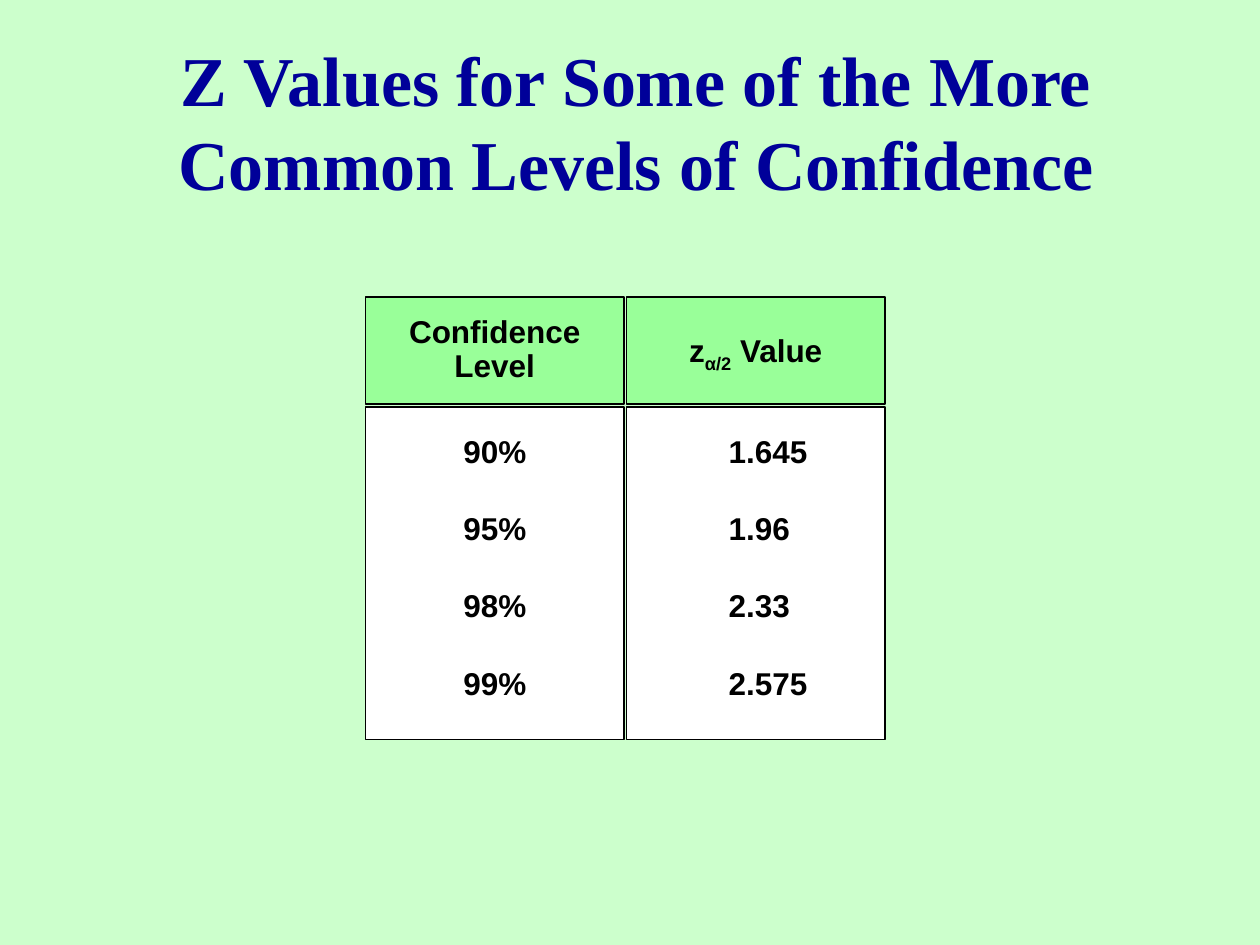
from dataclasses import dataclass

from lxml import etree
from pptx import Presentation
from pptx.dml.color import RGBColor
from pptx.enum.shapes import MSO_SHAPE
from pptx.enum.text import MSO_ANCHOR, MSO_AUTO_SIZE, PP_ALIGN
from pptx.oxml.ns import qn
from pptx.util import Cm, Pt

RECT = MSO_SHAPE.RECTANGLE
TOP, MIDDLE = MSO_ANCHOR.TOP, MSO_ANCHOR.MIDDLE
LEFT, CENTER = PP_ALIGN.LEFT, PP_ALIGN.CENTER
NO_FIT = MSO_AUTO_SIZE.NONE


@dataclass(frozen=True)
class Theme:
    background: RGBColor = RGBColor(0xCC, 0xFF, 0xCC)
    title: RGBColor = RGBColor(0x00, 0x00, 0x99)
    header: RGBColor = RGBColor(0x99, 0xFF, 0x99)
    body: RGBColor = RGBColor(0xFF, 0xFF, 0xFF)
    ink: RGBColor = RGBColor(0x00, 0x00, 0x00)
    title_font: str = "Times New Roman"
    cell_font: str = "Arial"
    title_size: Pt = Pt(40)
    cell_size: Pt = Pt(18)
    row_gap: Pt = Pt(22.5)
    line: Pt = Pt(1)


theme = Theme()


def add_run(p, text, font, size, color):
    r = p.add_run()
    r.text = text
    r.font.name = font
    r.font.size = size
    r.font.bold = True
    r.font.color.rgb = color
    return r


def add_cell(slide, x, y, w, h, fill, anchor, inset_x, inset_y):
    sp = slide.shapes.add_shape(RECT, Cm(x), Cm(y), Cm(w), Cm(h))
    sp.shadow.inherit = False
    sp.fill.solid()
    sp.fill.fore_color.rgb = fill
    sp.line.color.rgb = theme.ink
    sp.line.width = theme.line
    tf = sp.text_frame
    tf.word_wrap = True
    tf.vertical_anchor = anchor
    tf.margin_left = tf.margin_right = Cm(inset_x)
    tf.margin_top = tf.margin_bottom = Cm(inset_y)
    return tf


prs = Presentation()
prs.slide_width, prs.slide_height = Cm(25.4), Cm(19.05)
slide = prs.slides.add_slide(prs.slide_layouts[5])
slide.background.fill.solid()
slide.background.fill.fore_color.rgb = theme.background

title = slide.shapes.title
title.left, title.top, title.width, title.height = Cm(1.07), Cm(0.84), Cm(23.5), Cm(3.18)
tf = title.text_frame
tf.word_wrap = True
tf.auto_size = NO_FIT
tf.vertical_anchor = MIDDLE
p = tf.paragraphs[0]
p.alignment = CENTER
add_run(p, "Z Values for Some of the More Common Levels of Confidence",
        theme.title_font, theme.title_size, theme.title)

left, col_w, col_step = 7.37, 5.21, 5.26
header_y, header_h = 5.99, 2.16
body_y, body_h = 8.2, 6.71
columns = [
    ([("Confidence Level", 0)], ["90%", "95%", "98%", "99%"], False),
    ([("z", 0), ("α/2", -25000), (" Value", 0)],
     ["1.645", "1.96", "2.33", "2.575"], True),
]

for i, (heading, values, decimal) in enumerate(columns):
    x = left + i * col_step

    tf = add_cell(slide, x, body_y, col_w, body_h, theme.body, TOP, 0.51, 0.51)
    for j, value in enumerate(values):
        p = tf.add_paragraph() if j else tf.paragraphs[0]
        p.alignment = LEFT if decimal else CENTER
        if decimal:
            tabs = etree.SubElement(p._p.get_or_add_pPr(), qn("a:tabLst"))
            etree.SubElement(tabs, qn("a:tab"), pos=str(Cm(1.9)), algn="dec")
        if j:
            p.space_before = theme.row_gap
        add_run(p, "\t" + value if decimal else value,
                theme.cell_font, theme.cell_size, theme.ink)

    tf = add_cell(slide, x, header_y, col_w, header_h, theme.header, MIDDLE, 0.25, 0.13)
    p = tf.paragraphs[0]
    p.alignment = CENTER
    p.line_spacing = 0.9
    for text, baseline in heading:
        r = add_run(p, text, theme.cell_font, theme.cell_size, theme.ink)
        if baseline:
            r._r.get_or_add_rPr().set("baseline", str(baseline))

prs.save("out.pptx")
